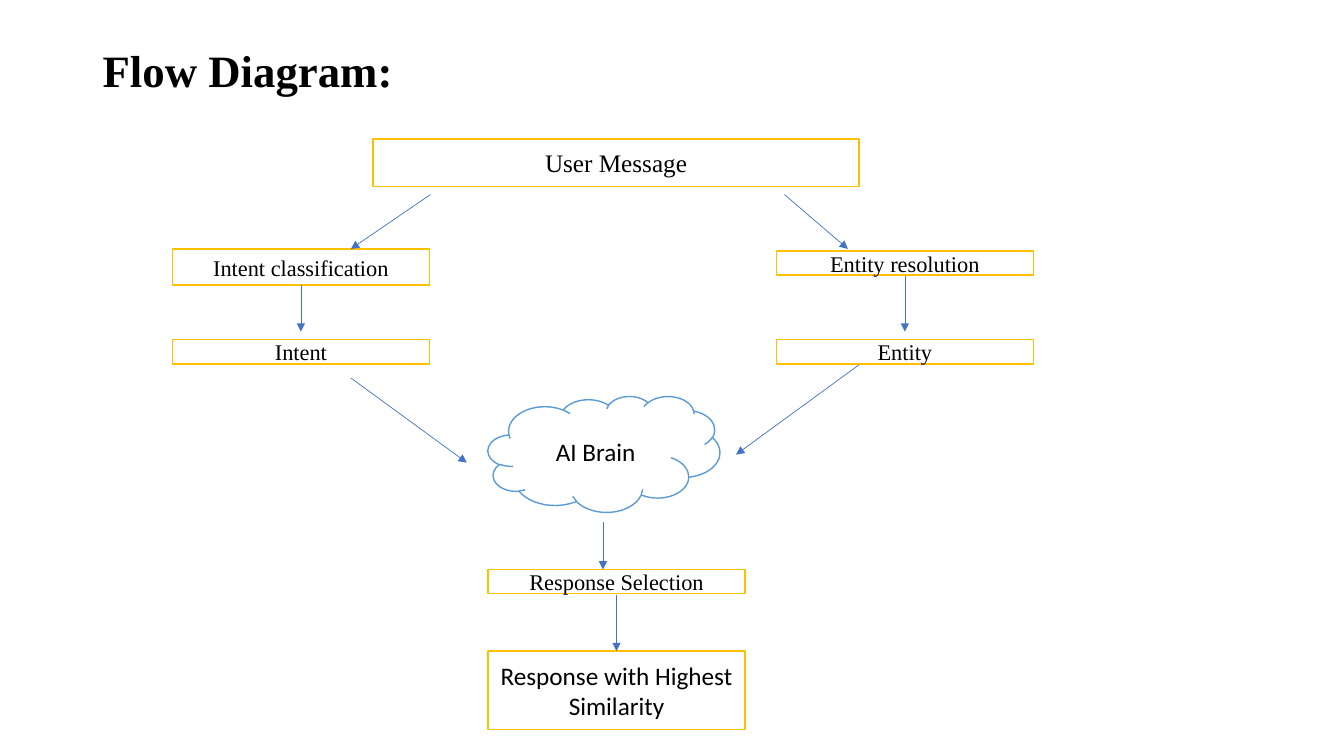
from lxml import etree
from pptx import Presentation
from pptx.dml.color import RGBColor
from pptx.enum.shapes import MSO_CONNECTOR, MSO_SHAPE
from pptx.enum.text import MSO_ANCHOR, PP_ALIGN
from pptx.oxml.ns import qn
from pptx.util import Inches, Pt

RECT, CLOUD = MSO_SHAPE.RECTANGLE, MSO_SHAPE.CLOUD
STRAIGHT = MSO_CONNECTOR.STRAIGHT
MIDDLE = MSO_ANCHOR.MIDDLE
LEFT, CENTER = PP_ALIGN.LEFT, PP_ALIGN.CENTER


def color(value):
    return RGBColor.from_string(value)


class FlowSlide:
    SERIF, SANS = "Times New Roman", "Calibri"
    TEXT, FILL = "000000", "FFFFFF"
    BOX_LINE, CLOUD_LINE, ARROW = "FFC000", "5B9BD5", "4472C4"

    def __init__(self, prs):
        self.s = prs.slides.add_slide(prs.slide_layouts[6])

    def set_text(self, sp, text, size, font, align=CENTER, bold=False):
        tf = sp.text_frame
        tf.word_wrap = True
        tf.vertical_anchor = MIDDLE
        tf.text = text
        p = tf.paragraphs[0]
        p.alignment = align
        r = p.runs[0]
        r.font.size, r.font.name, r.font.bold = Pt(size), font, bold
        r.font.color.rgb = color(self.TEXT)
        return p

    def title(self, text, x, y, w, h):
        sp = self.s.shapes.add_textbox(Inches(x), Inches(y), Inches(w), Inches(h))
        p = self.set_text(sp, text, 32, self.SERIF, LEFT, True)
        p.line_spacing = 0.9

    def node(self, text, x, y, w, h, size=16, font=SERIF, kind=RECT, line=BOX_LINE):
        sp = self.s.shapes.add_shape(kind, Inches(x), Inches(y), Inches(w), Inches(h))
        sp.shadow.inherit = False
        sp.fill.solid()
        sp.fill.fore_color.rgb = color(self.FILL)
        sp.line.color.rgb = color(line)
        sp.line.width = Pt(1)
        self.set_text(sp, text, size, font)

    def arrow(self, x1, y1, x2, y2):
        cx = self.s.shapes.add_connector(
            STRAIGHT, Inches(x1), Inches(y1), Inches(x2), Inches(y2))
        cx.line.color.rgb = color(self.ARROW)
        cx.line.width = Pt(0.5)
        sp_pr = cx._element.spPr
        etree.SubElement(sp_pr.find(qn("a:ln")), qn("a:tailEnd"), type="triangle")
        etree.SubElement(sp_pr, qn("a:effectLst"))


def main():
    prs = Presentation()
    prs.slide_width, prs.slide_height = Inches(13.33), Inches(7.5)
    flow = FlowSlide(prs)
    flow.title("Flow Diagram:", 0.92, 0, 11.5, 1.45)

    # Columns and shared box size
    intent_x, brain_x, entity_x = 1.71, 4.84, 7.7
    box_w, box_h = 2.55, 0.24

    # Message, its two analysis branches, and the response
    flow.node("User Message", 3.7, 1.38, 4.82, 0.47, size=18)
    for text, x, y, h in [
        ("Intent classification", intent_x, 2.47, 0.36),
        ("Entity resolution", entity_x, 2.49, box_h),
        ("Intent", intent_x, 3.37, box_h),
        ("Entity", entity_x, 3.37, box_h),
        ("Response Selection", brain_x, 5.65, box_h),
    ]:
        flow.node(text, x, y, box_w, h)
    flow.node("AI Brain", brain_x, 3.93, 2.3, 1.15, size=18, font=flow.SANS,
              kind=CLOUD, line=flow.CLOUD_LINE)
    flow.node("Response with Highest Similarity", brain_x, 6.46, box_w, 0.78,
              size=18, font=flow.SANS)

    # Slanted arrows: message to branches, branches to brain
    for ends in [
        (4.27, 1.93, 3.48, 2.47),
        (7.78, 1.93, 8.41, 2.47),
        (3.48, 3.75, 4.63, 4.59),
        (8.52, 3.62, 7.3, 4.51),
    ]:
        flow.arrow(*ends)

    # Vertical arrows
    for x, top, bottom in [
        (intent_x + box_w / 2, 2.83, 3.29),
        (entity_x + box_w / 2, 2.74, 3.29),
        (5.98, 5.18, 5.65),
        (brain_x + box_w / 2, 5.9, 6.46),
    ]:
        flow.arrow(x, top, x, bottom)

    prs.save("out.pptx")


if __name__ == "__main__":
    main()
